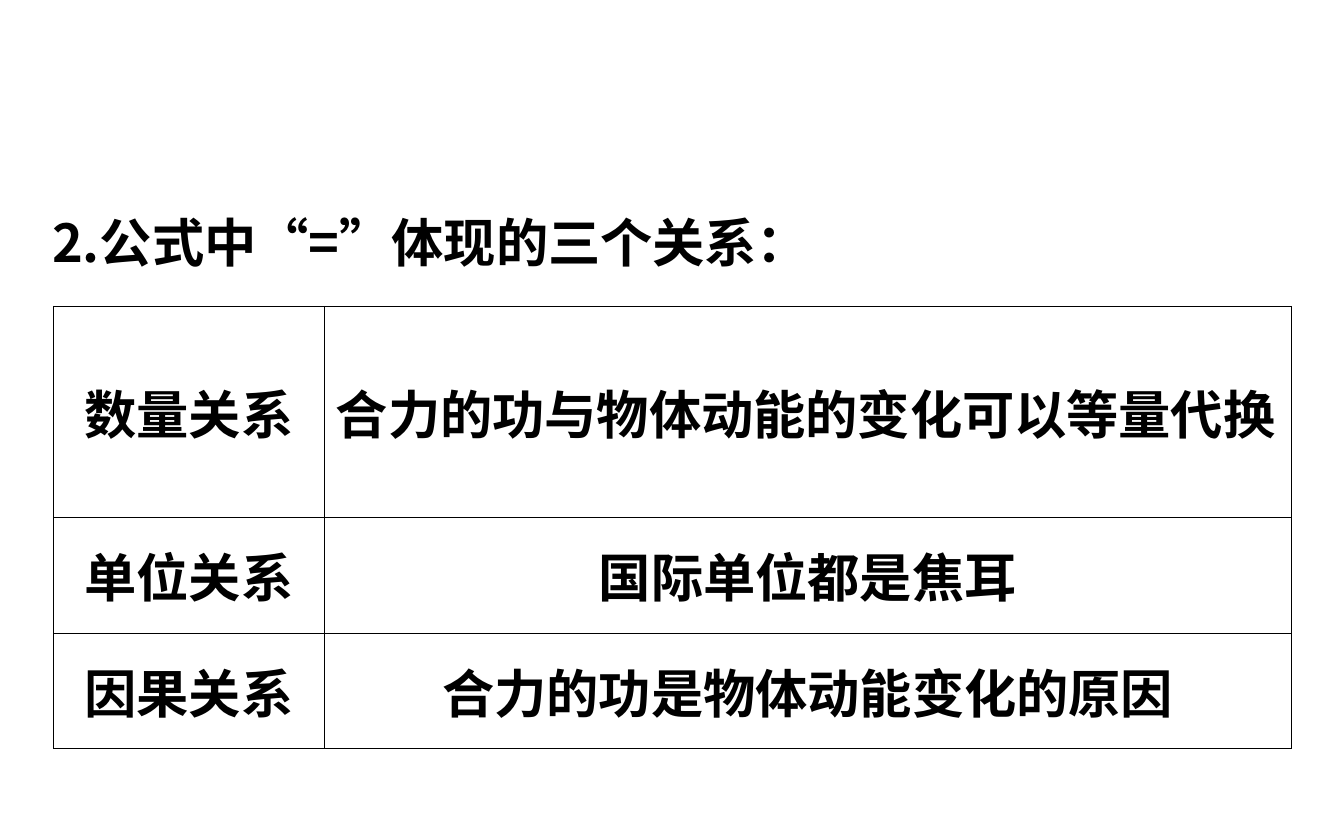
"""Build a slide with a table of the three relations expressed by a formula."""
from typing import NamedTuple

from lxml import etree
from pptx import Presentation
from pptx import util as u
from pptx.dml import color
from pptx.enum import text
from pptx.oxml import ns

BLACK = color.RGBColor(0, 0, 0)
FONT_NAME = "Noto Sans CJK SC"
FONT_FORMAT = {"name": FONT_NAME, "size": u.Pt(28), "bold": True}
OUTER_WIDTH = u.Pt(0.75)
INNER_WIDTH = u.Pt(0.45)
COLUMN_WIDTHS = (2.01, 7.2)


class Relation(NamedTuple):
    name: str
    meaning: str
    height: float
    alignment: text.PP_ALIGN = text.PP_ALIGN.CENTER


RELATIONS = (
    Relation("数量关系", "合力的功与物体动能的变化可以等量代换", 1.57, text.PP_ALIGN.LEFT),
    Relation("单位关系", "国际单位都是焦耳", 0.86),
    Relation("因果关系", "合力的功是物体动能变化的原因", 0.86),
)


def write_text(paragraph, content: str) -> None:
    run = paragraph.add_run()
    run.text = content
    for name, value in FONT_FORMAT.items():
        setattr(run.font, name, value)
    run.font.color.rgb = BLACK
    properties = run._r.get_or_add_rPr()
    etree.SubElement(properties, ns.qn("a:ea"), typeface=FONT_NAME)


def draw_border(cell, side: str, width: int) -> None:
    properties = cell._tc.get_or_add_tcPr()
    line = etree.SubElement(properties, ns.qn(f"a:ln{side}"), w=str(int(width)))
    fill = etree.SubElement(line, ns.qn("a:solidFill"))
    etree.SubElement(fill, ns.qn("a:srgbClr"), val=str(BLACK))


def fill_cell(cell, content: str, alignment: text.PP_ALIGN, outer_sides: str) -> None:
    cell.vertical_anchor = text.MSO_ANCHOR.MIDDLE
    cell.margin_left = cell.margin_right = u.Inches(0.09)
    for side in "LRTB":
        draw_border(cell, side, OUTER_WIDTH if side in outer_sides else INNER_WIDTH)
    cell.fill.background()
    paragraph = cell.text_frame.paragraphs[0]
    paragraph.alignment = alignment
    write_text(paragraph, content)


def add_heading(slide, content: str) -> None:
    shape = slide.shapes.add_textbox(
        u.Inches(0.29), u.Inches(1.28), u.Inches(9.43), u.Inches(0.8))
    frame = shape.text_frame
    frame.word_wrap = True
    frame.auto_size = text.MSO_AUTO_SIZE.SHAPE_TO_FIT_TEXT
    paragraph = frame.paragraphs[0]
    paragraph.line_spacing = 1.5
    write_text(paragraph, content)


def add_relations(slide, relations: tuple[Relation, ...]) -> None:
    table = slide.shapes.add_table(
        len(relations), len(COLUMN_WIDTHS), u.Inches(0.4), u.Inches(2.28),
        u.Inches(sum(COLUMN_WIDTHS)),
        u.Inches(sum(relation.height for relation in relations))).table
    table.first_row = table.horz_banding = False
    for column, width in zip(table.columns, COLUMN_WIDTHS):
        column.width = u.Inches(width)
    vertical_sides = {0: "T", len(relations) - 1: "B"}
    for index, relation in enumerate(relations):
        table.rows[index].height = u.Inches(relation.height)
        outer = vertical_sides.get(index, "")
        fill_cell(table.cell(index, 0), relation.name, text.PP_ALIGN.CENTER, outer + "L")
        fill_cell(table.cell(index, 1), relation.meaning, relation.alignment, outer + "R")


def main() -> None:
    presentation = Presentation()
    presentation.slide_width = u.Inches(10)
    presentation.slide_height = u.Inches(6.25)
    slide = presentation.slides.add_slide(presentation.slide_layouts[6])
    add_heading(slide, "2.公式中“=”体现的三个关系：")
    add_relations(slide, RELATIONS)
    presentation.save("out.pptx")


if __name__ == "__main__":
    main()
